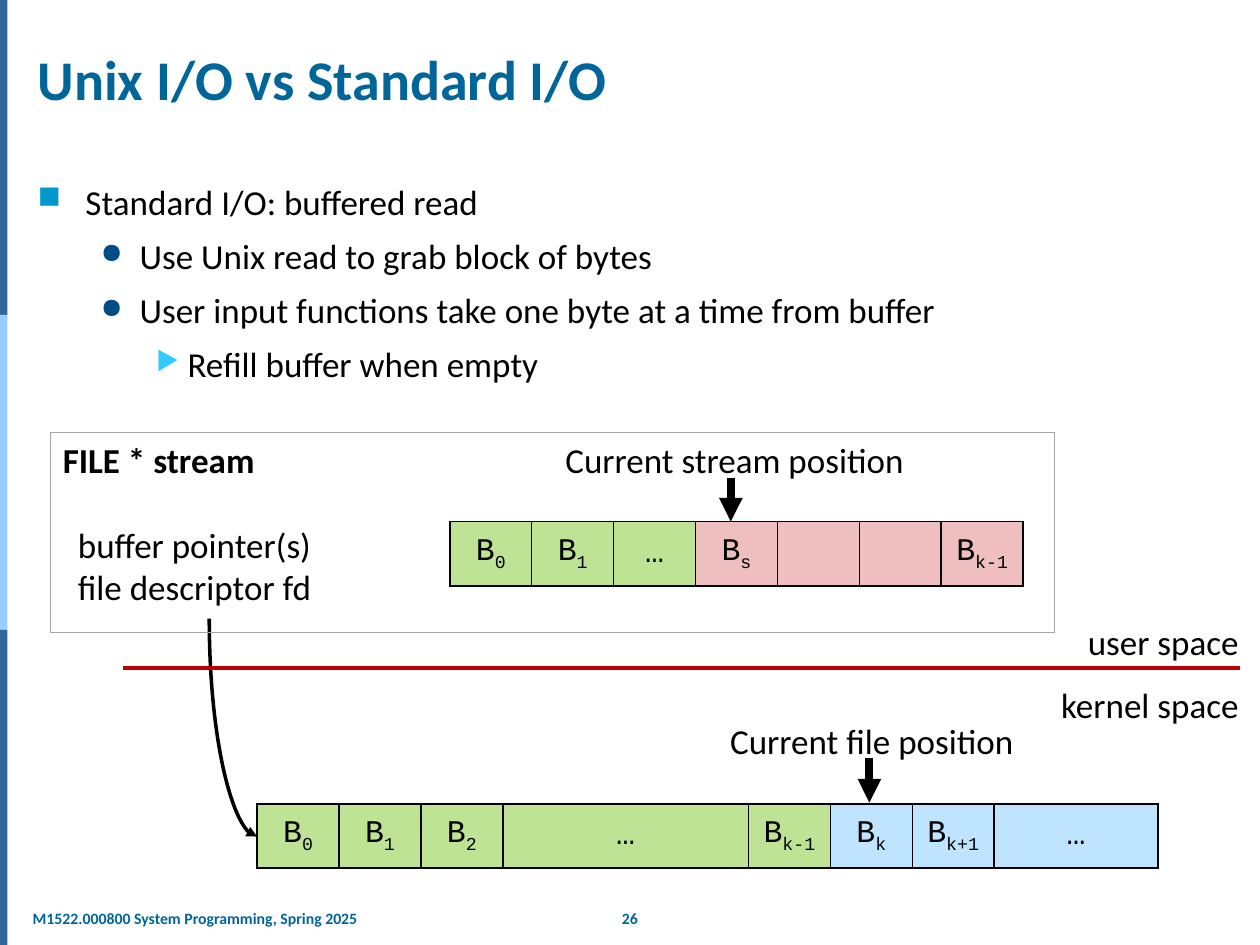
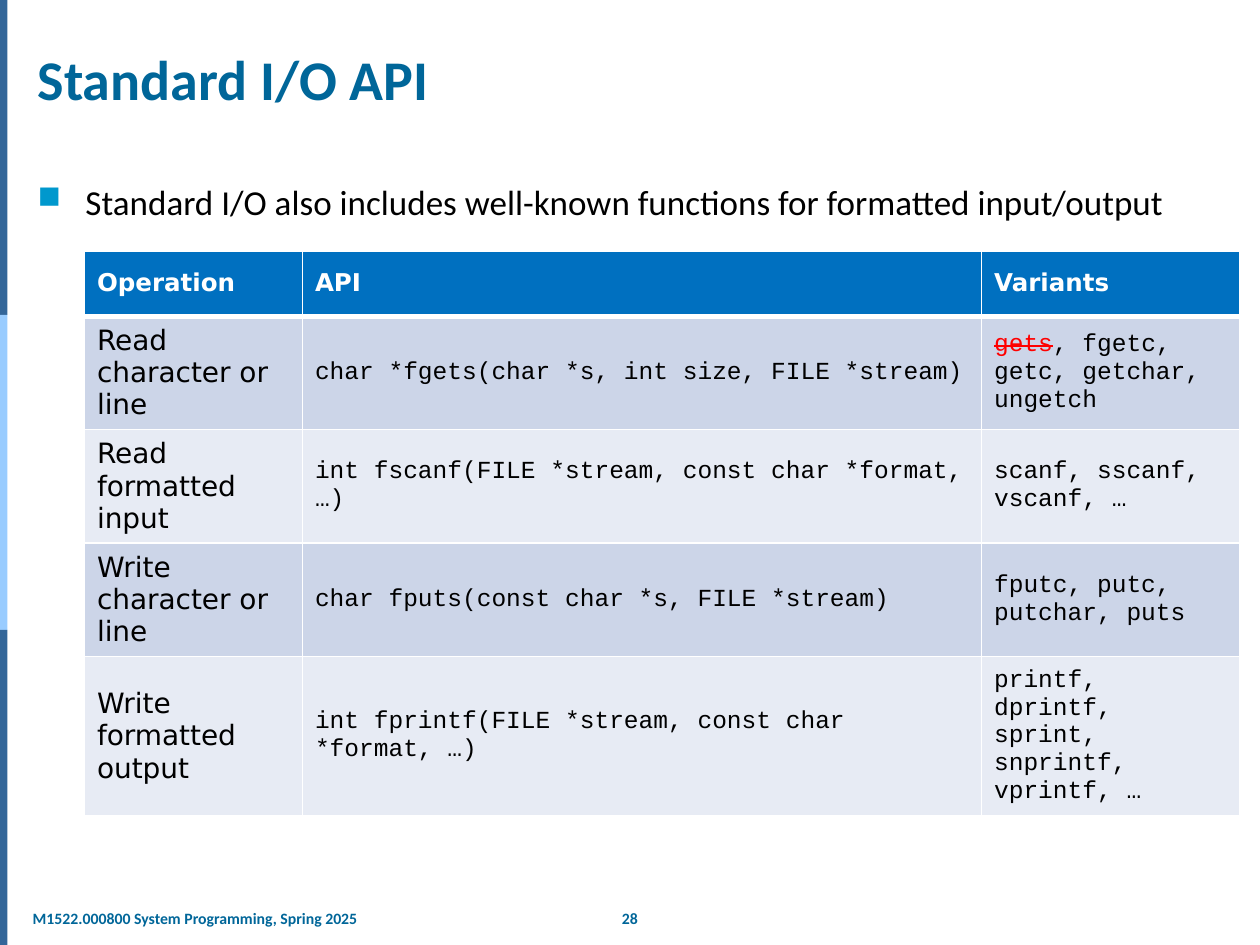
import pptx
import pptx.dml.color
import pptx.enum.shapes
import pptx.enum.text
import pptx.oxml
import pptx.oxml.ns
import pptx.util

Inches = pptx.util.Inches
Pt = pptx.util.Pt
RGBColor = pptx.dml.color.RGBColor
Align = pptx.enum.text.PP_ALIGN
Anchor = pptx.enum.text.MSO_ANCHOR
Link = pptx.enum.shapes.MSO_CONNECTOR
RECT = pptx.enum.shapes.MSO_SHAPE.RECTANGLE

BLACK = RGBColor(0, 0, 0)
WHITE = RGBColor(255, 255, 255)
TEAL = RGBColor(0x00, 0x66, 0x99)
NAVY = RGBColor(0x33, 0x66, 0x99)
SKY = RGBColor(0x99, 0xCC, 0xFF)
GRAY = RGBColor(0xA6, 0xA6, 0xA6)
RED = RGBColor(0xC0, 0x00, 0x00)
ALERT = RGBColor(0xFF, 0x00, 0x00)
GREEN = RGBColor(0xBE, 0xE3, 0x95)
PINK = RGBColor(0xEF, 0xBF, 0xBF)
PALE = RGBColor(0xBF, 0xE4, 0xFF)
HEAD = RGBColor(0x00, 0x70, 0xC0)
ODD = RGBColor(0xCC, 0xD5, 0xE8)
EVEN = RGBColor(0xE7, 0xEB, 0xF4)

SANS, MONO, WIDE = "Calibri", "Courier New", "DejaVu Sans"
COURSE = "M1522.000800 System Programming, Spring 2025"
LEVELS = [
    (0.38, 0.38, "■", "0098CD", 90),
    (0.81, 0.31, "●", "004D86", 80),
    (1.19, 0.25, "▶", "35CAFF", 75),
]
UNIT = 0.65


def node(xml):
    return pptx.oxml.parse_xml(xml.replace(" ", f" {pptx.oxml.ns.nsdecls('a')} ", 1))


class Deck:
    def __init__(self):
        self.show = pptx.Presentation()
        self.show.slide_width = Inches(10)
        self.show.slide_height = Inches(7.5)

    def start(self, title, page):
        self.slide = self.show.slides.add_slide(self.show.slide_layouts[6])
        for i, color in enumerate((NAVY, SKY, NAVY)):
            self.box(0, 2.5 * i, 0.06, 2.5, color)
        self.text(4.82, 7.16, 0.36, 0.25, page, 9, TEAL, True, Align.CENTER, False)
        foot = self.text(0.2, 7.16, 2.72, 0.25, COURSE, 9, TEAL, True, wrap=False)
        foot.margin_left = foot.margin_right = Inches(0.06)
        head = self.text(0.2, 0.31, 9.65, 0.63, title, 32, TEAL, True)
        head.vertical_anchor = Anchor.BOTTOM

    def box(self, x, y, w, h, fill=None, line=None):
        shape = self.slide.shapes.add_shape(RECT, Inches(x), Inches(y), Inches(w), Inches(h))
        shape.shadow.inherit = False
        if fill is None:
            shape.fill.background()
        else:
            shape.fill.solid()
            shape.fill.fore_color.rgb = fill
        if line is None:
            shape.line.fill.background()
        else:
            shape.line.color.rgb = line
            shape.line.width = Pt(0.75)
        return shape.text_frame

    def label(self, frame, text, size=20, color=BLACK, bold=False, align=Align.LEFT, face=SANS):
        frame.text = text
        for para in frame.paragraphs:
            para.alignment = align
            font = para.font
            font.name, font.size, font.bold = face, Pt(size), bold
            font.color.rgb = color
        return frame

    def text(self, x, y, w, h, text, size=20, color=BLACK, bold=False, align=Align.LEFT, wrap=True):
        frame = self.slide.shapes.add_textbox(Inches(x), Inches(y), Inches(w), Inches(h)).text_frame
        frame.word_wrap = wrap
        return self.label(frame, text, size, color, bold, align)

    def points(self, items):
        frame = self.text(0.2, 1.38, 9.65, 5.71, "\n".join(item for _, item in items))
        for i, (para, (level, _)) in enumerate(zip(frame.paragraphs, items)):
            left, hang, mark, color, scale = LEVELS[level]
            para.level = level
            para.space_before = Pt(7 if i else 0)
            props = para._p.get_or_add_pPr()
            props.set("marL", str(Inches(left)))
            props.set("indent", str(-Inches(hang)))
            for xml in (
                f'<a:buClr ><a:srgbClr val="{color}"/></a:buClr>',
                f'<a:buSzPct val="{scale}000"/>',
                f'<a:buChar char="{mark}"/>',
            ):
                props.insert(len(props) - 1, node(xml))

    def line(self, x1, y1, x2, y2, color=BLACK, width=2, arrow=False, kind=Link.STRAIGHT):
        link = self.slide.shapes.add_connector(kind, Inches(x1), Inches(y1), Inches(x2), Inches(y2))
        link.line.color.rgb = color
        link.line.width = Pt(width)
        props = link._element.spPr
        if arrow:
            props.get_or_add_ln().append(node('<a:tailEnd type="triangle"/>'))
        props.append(node("<a:effectLst />"))
        return link

    def curve(self, x1, y1, x2, y2):
        mid_x, mid_y = (x1 + x2) / 2, (y1 + y2) / 2
        long, short = (y2 - y1) / 2, (x2 - x1) / 2
        link = self.line(mid_x + long, mid_y - short, mid_x - long, mid_y + short,
                         arrow=True, kind=Link.CURVE)
        props = link._element.spPr
        props.xfrm.set("rot", str(270 * 60000))
        props.prstGeom.set("prst", "curvedConnector2")

    def table(self, x, y, widths, heights):
        grid = self.slide.shapes.add_table(
            len(heights), len(widths), Inches(x), Inches(y),
            Inches(sum(widths)), Inches(sum(heights))).table
        grid.first_row = grid.horz_banding = False
        for col, width in zip(grid.columns, widths):
            col.width = Inches(width)
        for row, height in zip(grid.rows, heights):
            row.height = Inches(height)
        return grid

    def cell(self, cell, fill, edge, top=1, base=1):
        props = cell._tc.get_or_add_tcPr()
        for side, width in zip("LRTB", (1, 1, top, base)):
            props.append(node(
                f'<a:ln{side} w="{Pt(width)}"><a:solidFill><a:srgbClr val="{edge}"/>'
                f"</a:solidFill></a:ln{side}>"))
        cell.fill.solid()
        cell.fill.fore_color.rgb = fill
        cell.vertical_anchor = Anchor.MIDDLE

    def strip(self, x, y, blocks):
        grid = self.table(x, y, [UNIT * span for _, _, span in blocks], [0.51])
        for cell, (name, fill, _) in zip(grid.rows[0].cells, blocks):
            self.cell(cell, fill, BLACK)
            base, _, sub = name.partition("_")
            self.label(cell.text_frame, base, 18, align=Align.CENTER, face=MONO)
            if sub:
                run = cell.text_frame.paragraphs[0].add_run()
                run.text = sub
                run._r.get_or_add_rPr().set("baseline", "-25000")

    def calls(self, x, y, widths, heights, rows):
        grid = self.table(x, y, widths, heights)
        for r, row in enumerate(rows):
            fill = HEAD if r == 0 else ODD if r % 2 else EVEN
            for c, text in enumerate(row):
                cell = grid.cell(r, c)
                self.cell(cell, fill, WHITE, 3 if r == 1 else 1, 3 if r == 0 else 1)
                if r == 0:
                    self.label(cell.text_frame, text, 14, WHITE, True, face=WIDE)
                elif c == 0:
                    self.label(cell.text_frame, text, 16, face=WIDE)
                else:
                    self.label(cell.text_frame, text, 14, face=MONO)
        return grid

    def strike(self, cell, rest):
        para = cell.text_frame.paragraphs[0]
        run = para.runs[0]
        run.font.color.rgb = ALERT
        run._r.get_or_add_rPr().set("strike", "sngStrike")
        para.add_run().text = rest


def buffer(deck):
    deck.start("Unix I/O vs Standard I/O", "26")
    deck.points([
        (0, "Standard I/O: buffered read"),
        (1, "Use Unix read to grab block of bytes"),
        (1, "User input functions take one byte at a time from buffer"),
        (2, "Refill buffer when empty"),
    ])
    deck.line(6.9, 6.02, 6.9, 6.37, width=4.5, arrow=True)
    deck.text(5.65, 5.66, 2.54, 0.44, "Current file position", align=Align.CENTER, wrap=False)
    deck.strip(2.04, 6.38, [
        ("B_0", GREEN, 1), ("B_1", GREEN, 1), ("B_2", GREEN, 1), ("…", GREEN, 3),
        ("B_k-1", GREEN, 1), ("B_k", PALE, 1), ("B_k+1", PALE, 1), ("…", PALE, 2),
    ])
    deck.curve(1.66, 4.91, 2.04, 6.64)
    stream = deck.box(0.4, 3.43, 7.97, 1.59, line=GRAY)
    stream.vertical_anchor = Anchor.TOP
    deck.label(stream, "FILE * stream\nbuffer pointer(s)\nfile descriptor fd")
    name, *fields = stream.paragraphs
    name.font.bold = True
    fields[0].space_before = Pt(24.4)
    for field in fields:
        field._p.get_or_add_pPr().set("marL", str(Inches(0.12)))
    deck.strip(3.57, 4.14, [
        ("B_0", GREEN, 1), ("B_1", GREEN, 1), ("…", GREEN, 1), ("B_s", PINK, 1),
        ("", PINK, 1), ("", PINK, 1), ("B_k-1", PINK, 1),
    ])
    deck.line(0.98, 5.3, 9.84, 5.3, RED, 2.5)
    spaces = deck.text(8.3, 4.71, 1.63, 1.11, "user space\nkernel space",
                       align=Align.RIGHT, wrap=False)
    for para in spaces.paragraphs:
        para.line_spacing = 1.5
    deck.line(5.8, 3.79, 5.8, 4.14, width=4.5, arrow=True)
    deck.text(4.37, 3.43, 2.92, 0.44, "Current stream position", align=Align.CENTER, wrap=False)


def formats(deck):
    deck.start("Standard I/O API", "28")
    deck.points([(0, "Standard I/O also includes well-known functions for formatted input/output")])
    grid = deck.calls(0.67, 1.99, [1.73, 5.39, 2.05], [0.52] + [0.72] * 4, [
        ("Operation", "API", "Variants"),
        ("Read character or line", "char *fgets(char *s, int size, FILE *stream)", "gets"),
        ("Read formatted input", "int fscanf(FILE *stream, const char *format, …)",
         "scanf, sscanf,\nvscanf, …"),
        ("Write character or line", "char fputs(const char *s, FILE *stream)",
         "fputc, putc, putchar, puts"),
        ("Write formatted output", "int fprintf(FILE *stream, const char *format, …)",
         "printf, dprintf, sprint, snprintf, vprintf, …"),
    ])
    deck.strike(grid.cell(1, 2), ", fgetc, getc, getchar, ungetch")


def main():
    deck = Deck()
    buffer(deck)
    formats(deck)
    deck.show.save("out.pptx")


if __name__ == "__main__":
    main()
